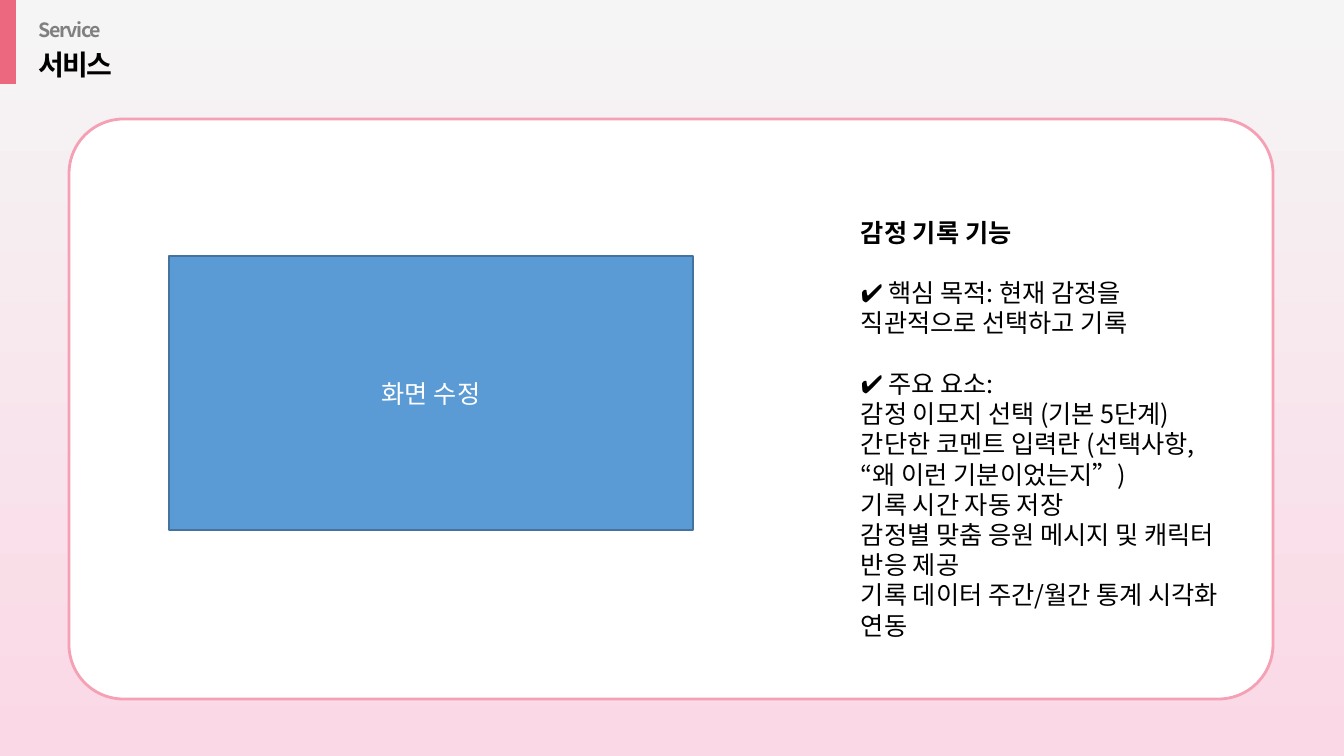
from lxml.etree import SubElement
from pptx import Presentation
from pptx.dml.color import RGBColor
from pptx.enum.shapes import MSO_SHAPE
from pptx.enum.text import MSO_ANCHOR, MSO_AUTO_SIZE, PP_ALIGN
from pptx.oxml.ns import qn
from pptx.util import Emu, Pt

SLIDE_WIDTH, SLIDE_HEIGHT = 1344, 756
EMU_PER_PX = 12192000 / SLIDE_WIDTH
FONT = "Noto Sans CJK KR"
COLORS = {
    "sky": "F5F5F5", "blush": "FAD8E5", "accent": "EB687E", "border": "F5A0B5",
    "white": "FFFFFF", "black": "000000", "gray": "808080",
    "screen": "5B9BD5", "screen_line": "43739E",
}
FEATURE_TITLE = "감정 기록 기능"
FEATURE_GROUPS = [
    ["✔ 핵심 목적: 현재 감정을 직관적으로 선택하고 기록"],
    ["✔ 주요 요소:",
     "감정 이모지 선택 (기본 5단계)",
     "간단한 코멘트 입력란 (선택사항, “왜 이런 기분이었는지”)",
     "기록 시간 자동 저장",
     "감정별 맞춤 응원 메시지 및 캐릭터 반응 제공",
     "기록 데이터 주간/월간 통계 시각화 연동"],
]


def px(length):
    """Turn whole pixels into EMU."""
    return Emu(round(length * EMU_PER_PX))


def color(name):
    """Look up a named colour."""
    return RGBColor.from_string(COLORS[name])


def add_box(slide, box, fill, line=None, line_width=1, kind=MSO_SHAPE.RECTANGLE):
    """Add a flat preset shape in the given box."""
    shape = slide.shapes.add_shape(kind, *map(px, box))
    shape.shadow.inherit = False
    shape.fill.solid()
    shape.fill.fore_color.rgb = color(fill)
    if line:
        shape.line.color.rgb = color(line)
        shape.line.width = Pt(line_width)
    else:
        shape.line.fill.background()
    return shape


def write(paragraph, text, ink="black", spacing=0, align=PP_ALIGN.LEFT, **formats):
    """Write one run of formatted text into a paragraph."""
    paragraph.alignment = align
    run = paragraph.add_run()
    run.text = text
    values = {"name": FONT, "size": Pt(18), "bold": False, **formats}
    for attribute, value in values.items():
        setattr(run.font, attribute, value)
    run.font.color.rgb = color(ink)
    properties = run._r.get_or_add_rPr()
    SubElement(properties, qn("a:ea")).set("typeface", FONT)
    if spacing:
        properties.set("spc", str(spacing))


def add_background(slide, box):
    """Fill the box with the vertical gradient."""
    shape = add_box(slide, box, "sky")
    shape.fill.gradient()
    shape.fill.gradient_angle = 270
    for stop, name in zip(shape.fill.gradient_stops, ("sky", "blush")):
        stop.color.rgb = color(name)


def add_header(slide, box):
    """Add the accent bar with the section label and title."""
    left, top, width, height = box
    add_box(slide, (left, top, 16, height), "accent")
    lines = [
        ("Service", 13, 88, 34, 14, "gray", -110),
        ("서비스", 43, 95, 44, 20, "black", -150),
    ]
    for text, offset, text_width, text_height, size, ink, spacing in lines:
        place = (left + 29, top + offset, text_width, text_height)
        frame = slide.shapes.add_textbox(*map(px, place)).text_frame
        frame.word_wrap = False
        frame.auto_size = MSO_AUTO_SIZE.SHAPE_TO_FIT_TEXT
        write(frame.paragraphs[0], text, ink, spacing, size=Pt(size), bold=True)


def add_features(slide, box):
    """Add the feature title and its groups of lines."""
    frame = add_box(slide, box, "white").text_frame
    frame.word_wrap = True
    frame.vertical_anchor = MSO_ANCHOR.TOP
    write(frame.paragraphs[0], FEATURE_TITLE, bold=True)
    for group in FEATURE_GROUPS:
        for index, text in enumerate(group):
            paragraph = frame.add_paragraph()
            if index == 0:
                paragraph.space_before = Pt(21.6)
            write(paragraph, text)


def add_screen(slide, box):
    """Add the screen placeholder with its centred label."""
    frame = add_box(slide, box, "screen", "screen_line").text_frame
    frame.word_wrap = True
    frame.vertical_anchor = MSO_ANCHOR.MIDDLE
    write(frame.paragraphs[0], "화면 수정", "white", align=PP_ALIGN.CENTER)


def add_card(slide, box):
    """Add the rounded card holding the screen and the features."""
    left, top, width, height = box
    card = add_box(slide, box, "white", "border", 2, MSO_SHAPE.ROUNDED_RECTANGLE)
    card.adjustments[0] = 0.094
    add_features(slide, (left + 782, top + 93, 377, 437))
    add_screen(slide, (left + 100, top + 137, 524, 274))


def main():
    """Build and save the service slide."""
    presentation = Presentation()
    presentation.slide_width = px(SLIDE_WIDTH)
    presentation.slide_height = px(SLIDE_HEIGHT)
    slide = presentation.slides.add_slide(presentation.slide_layouts[6])
    add_background(slide, (0, 0, SLIDE_WIDTH, SLIDE_HEIGHT))
    add_header(slide, (0, 0, SLIDE_WIDTH, 84))
    add_card(slide, (69, 119, 1204, 580))
    presentation.save("out.pptx")


if __name__ == "__main__":
    main()
